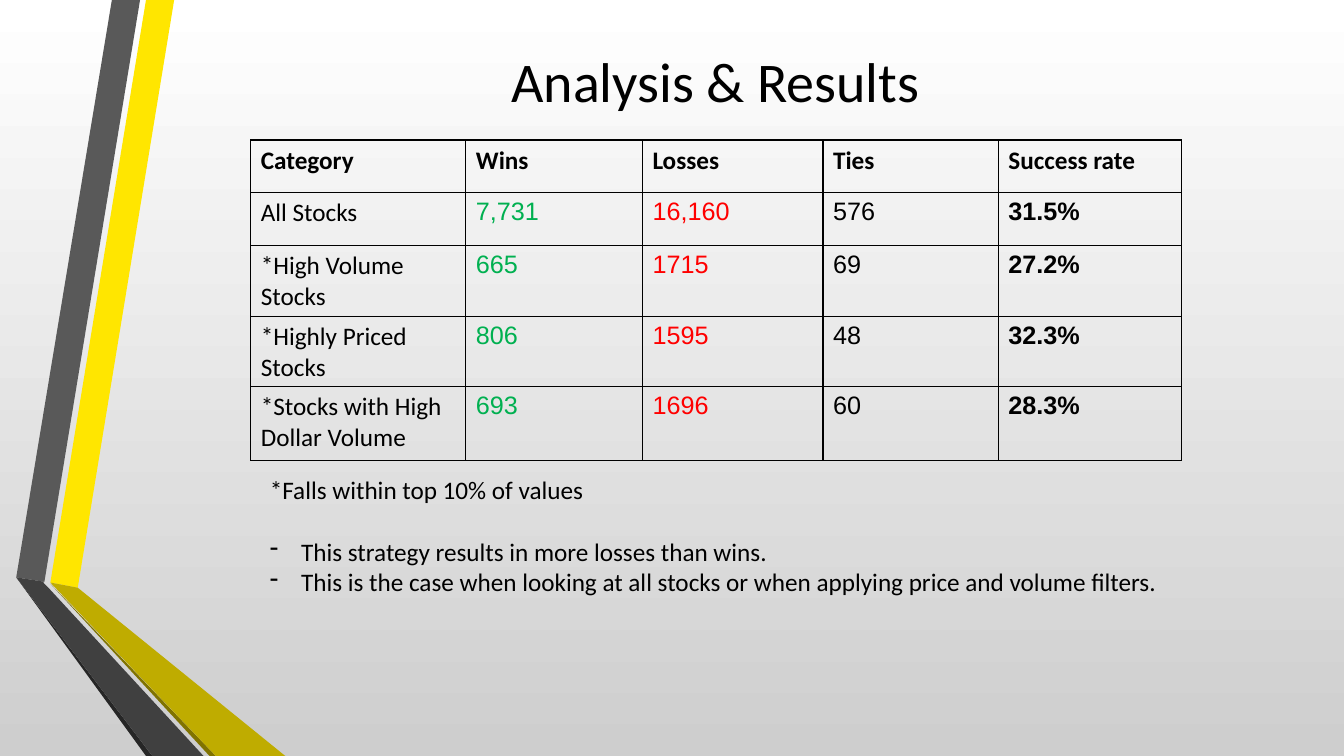
from dataclasses import dataclass

from lxml import etree
from pptx import Presentation
from pptx.dml.color import RGBColor
from pptx.enum.text import MSO_ANCHOR, MSO_AUTO_SIZE, PP_ALIGN
from pptx.oxml.ns import qn
from pptx.util import Cm, Pt

MIDDLE = MSO_ANCHOR.MIDDLE
GROW = MSO_AUTO_SIZE.SHAPE_TO_FIT_TEXT
CENTER = PP_ALIGN.CENTER


@dataclass(frozen=True)
class Theme:
    text: str = "000000"
    win: str = "00B050"
    loss: str = "FF0000"
    back_top: str = "FFFFFF"
    back_bottom: str = "CECECE"
    yellow: str = "FFE600"
    olive: str = "BFAC00"
    olive_dark: str = "807300"
    grey: str = "595959"
    charcoal: str = "404040"
    charcoal_dark: str = "262626"
    body_font: str = "Calibri"
    number_font: str = "Arial"
    title_size: int = 40
    body_size: int = 18
    border_width: int = 1


class SlideBuilder:
    def __init__(self, slide, theme):
        self.s = slide
        self.theme = theme

    def background(self):
        fill = self.s.background.fill
        fill.gradient()
        fill.gradient_angle = 270
        colors = (self.theme.back_top, self.theme.back_bottom)
        for stop, color in zip(fill.gradient_stops, colors):
            stop.color.rgb = RGBColor.from_string(color)

    def ribbon(self, color, *points):
        (x, y), *rest = [(Cm(px), Cm(py)) for px, py in points]
        builder = self.s.shapes.build_freeform(x, y)
        builder.add_line_segments(rest, close=True)
        sp = builder.convert_to_shape()
        sp.shadow.inherit = False
        sp.fill.solid()
        sp.fill.fore_color.rgb = RGBColor.from_string(color)
        sp.line.fill.background()

    def style(self, p, size, font=None, color=None, bold=False):
        for r in p.runs:
            r.font.size = Pt(size)
            r.font.name = font or self.theme.body_font
            r.font.bold = bold
            r.font.color.rgb = RGBColor.from_string(color or self.theme.text)

    def text_box(self, x, y, w, h, lines, size):
        sp = self.s.shapes.add_textbox(Cm(x), Cm(y), Cm(w), Cm(h))
        tf = sp.text_frame
        tf.word_wrap = True
        tf.text = "\n".join(lines)
        for p in tf.paragraphs:
            self.style(p, size)
        return tf

    def bullet(self, p, char, indent):
        pPr = p._p.get_or_add_pPr()
        pPr.set("marL", str(Cm(indent)))
        pPr.set("indent", str(-Cm(indent)))
        etree.SubElement(pPr, qn("a:buChar")).set("char", char)

    def borders(self, cell):
        tcPr = cell._tc.get_or_add_tcPr()
        for side in ("a:lnL", "a:lnR", "a:lnT", "a:lnB"):
            ln = etree.SubElement(tcPr, qn(side), w=str(Pt(self.theme.border_width)))
            fill = etree.SubElement(ln, qn("a:solidFill"))
            etree.SubElement(fill, qn("a:srgbClr"), val=self.theme.text)

    def table(self, x, y, widths, heights, rows):
        t = self.theme
        table = self.s.shapes.add_table(
            len(rows), len(widths), Cm(x), Cm(y), Cm(sum(widths)), Cm(sum(heights))
        ).table
        table.first_row = table.horz_banding = False
        for column, width in zip(table.columns, widths):
            column.width = Cm(width)
        for row, height in zip(table.rows, heights):
            row.height = Cm(height)

        column_colors = (t.text, t.win, t.loss, t.text, t.text)
        last = len(widths) - 1
        for i, values in enumerate(rows):
            for j, value in enumerate(values):
                cell = table.cell(i, j)
                self.borders(cell)
                cell.fill.background()
                cell.text_frame.text = value
                header = i == 0
                self.style(
                    cell.text_frame.paragraphs[0],
                    t.body_size,
                    font=t.body_font if header or j == 0 else t.number_font,
                    color=t.text if header else column_colors[j],
                    bold=header or j == last,
                )


RESULTS = [
    ("Category", "Wins", "Losses", "Ties", "Success rate"),
    ("All Stocks", "7,731", "16,160", "576", "31.5%"),
    ("*High Volume Stocks", "665", "1715", "69", "27.2%"),
    ("*Highly Priced Stocks", "806", "1595", "48", "32.3%"),
    ("*Stocks with High Dollar Volume", "693", "1696", "60", "28.3%"),
]
NOTES = [
    "*Falls within top 10% of values",
    "This strategy results in more losses than wins.",
    "This is the case when looking at all stocks or when applying price and volume filters.",
]


def main():
    prs = Presentation()
    prs.slide_width, prs.slide_height = Cm(33.87), Cm(19.05)
    theme = Theme()
    b = SlideBuilder(prs.slides.add_slide(prs.slide_layouts[6]), theme)
    b.background()

    # Folded ribbons: upper bands, then shaded edges and lower bands
    bottom = 19.05
    b.ribbon(theme.yellow, (1.27, 14.68), (1.96, 14.81), (4.39, 0), (3.68, 0))
    b.ribbon(theme.grey, (3.53, 0), (2.82, 0), (0.41, 14.55), (1.12, 14.66))
    b.ribbon(theme.charcoal_dark, (0.41, 14.55), (3.68, bottom), (3.84, bottom))
    b.ribbon(theme.olive_dark, (1.27, 14.71), (5.28, bottom), (5.44, bottom))
    b.ribbon(theme.olive, (1.27, 14.68), (5.44, bottom), (7.19, bottom), (1.96, 14.81))
    b.ribbon(theme.charcoal, (0.41, 14.55), (3.84, bottom), (5.13, bottom),
             (1.22, 14.81), (1.09, 14.68), (1.12, 14.66))

    # Title
    tf = b.text_box(4.11, 0.2, 27.84, 3.66, ["Analysis & Results"], theme.title_size)
    tf.vertical_anchor = MIDDLE
    tf.paragraphs[0].alignment = CENTER

    # Results by category
    b.table(6.32, 3.53, (5.42, 4.45, 4.55, 4.42, 4.62),
            (1.33, 1.33, 1.75, 1.75, 1.86), RESULTS)

    # Footnote and conclusions
    tf = b.text_box(6.55, 11.84, 23.42, 3.33, NOTES, theme.body_size)
    tf.auto_size = GROW
    conclusions = tf.paragraphs[1:]
    for p in conclusions:
        b.bullet(p, "-", 0.79)
    conclusions[0].space_before = Pt(22)

    prs.save("out.pptx")


if __name__ == "__main__":
    main()
